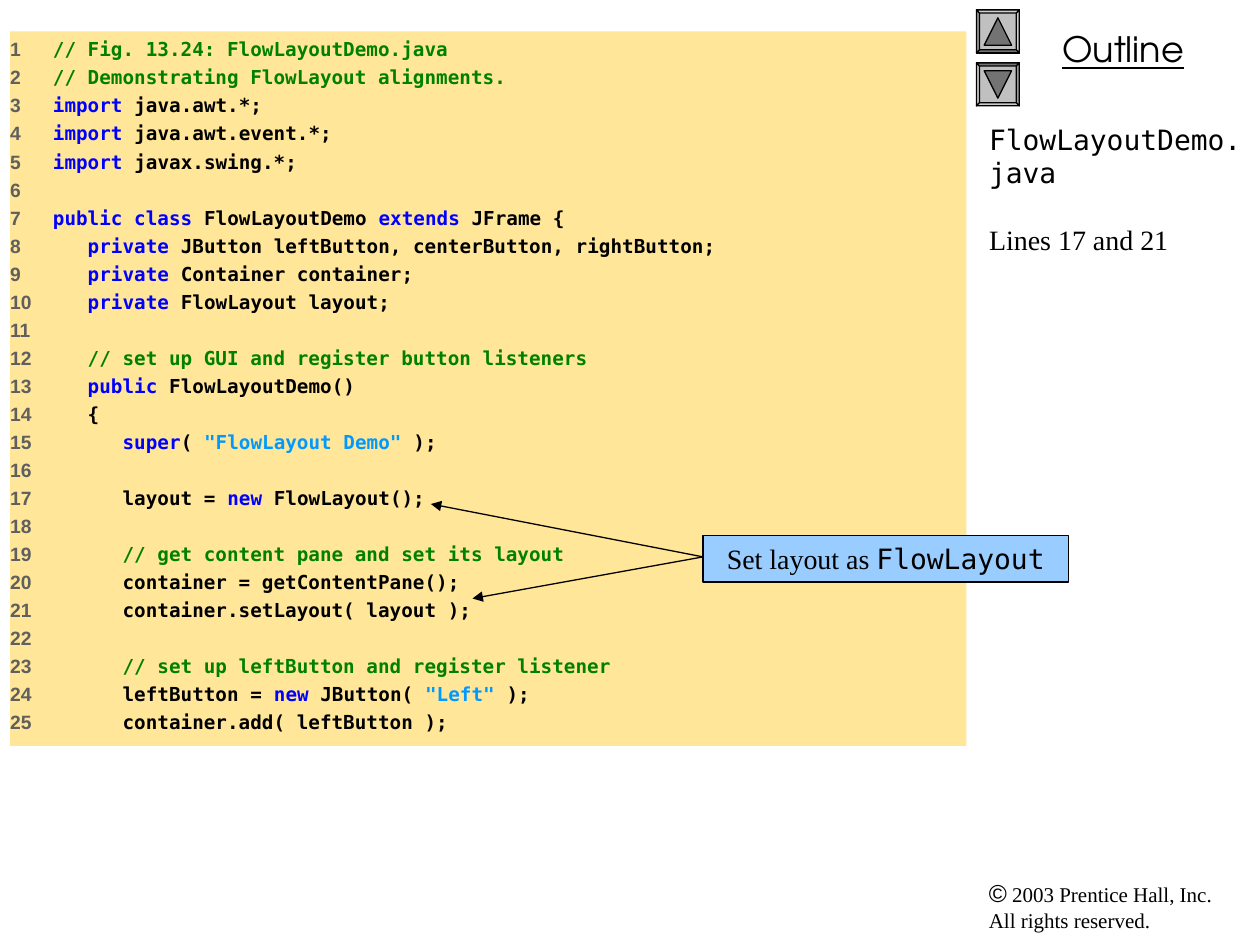
from typing import NamedTuple

from lxml import etree
from pptx import Presentation
from pptx.dml.color import RGBColor
from pptx.enum.shapes import MSO_CONNECTOR, MSO_SHAPE
from pptx.enum.text import MSO_ANCHOR, MSO_AUTO_SIZE, PP_ALIGN
from pptx.oxml.ns import qn
from pptx.util import Inches, Pt

RECTANGLE = MSO_SHAPE.RECTANGLE
STRAIGHT = MSO_CONNECTOR.STRAIGHT
TOP = MSO_ANCHOR.TOP
NO_AUTOFIT = MSO_AUTO_SIZE.NONE
LEFT, CENTER = PP_ALIGN.LEFT, PP_ALIGN.CENTER

BLACK = RGBColor(0x00, 0x00, 0x00)
NUMBER_GREY = RGBColor(0x5F, 0x5F, 0x5F)
COMMENT_GREEN = RGBColor(0x00, 0x80, 0x00)
KEYWORD_BLUE = RGBColor(0x00, 0x00, 0xFF)
STRING_BLUE = RGBColor(0x00, 0x99, 0xFF)
CODE_FILL = RGBColor(0xFF, 0xE6, 0x99)
CALLOUT_FILL = RGBColor(0x99, 0xCC, 0xFF)
BUTTON_GREY = RGBColor(0xC0, 0xC0, 0xC0)
BEVEL_LIGHT = RGBColor(0xCD, 0xCD, 0xCD)
BEVEL_MEDIUM = RGBColor(0x9A, 0x9A, 0x9A)
BEVEL_DARK = RGBColor(0x73, 0x73, 0x73)

SANS, SERIF = "Arial", "Times New Roman"
MONO, HEADING = "DejaVu Sans Mono", "TeX Gyre Adventor"


class Span(NamedTuple):
    text: str
    color: RGBColor = BLACK
    font: str = MONO
    size: float = 11
    bold: bool = False


class Box(NamedTuple):
    left: float
    top: float
    width: float
    height: float


class Facet(NamedTuple):
    color: RGBColor
    points: tuple


def plain(text: str) -> Span:
    return Span(text, BLACK, bold=True)


def keyword(text: str) -> Span:
    return Span(text, KEYWORD_BLUE, bold=True)


def comment(text: str) -> Span:
    return Span(text, COMMENT_GREEN, bold=True)


def literal(text: str) -> Span:
    return Span(text, STRING_BLUE, bold=True)


CODE_LINES = [
    [comment("// Fig. 13.24: FlowLayoutDemo.java")],
    [comment("// Demonstrating FlowLayout alignments.")],
    [keyword("import"), plain(" java.awt.*;")],
    [keyword("import"), plain(" java.awt.event.*;")],
    [keyword("import"), plain(" javax.swing.*;")],
    [],
    [keyword("public class"), plain(" FlowLayoutDemo "), keyword("extends"), plain(" JFrame {")],
    [keyword("   private"), plain(" JButton leftButton, centerButton, rightButton;")],
    [keyword("   private"), plain(" Container container;")],
    [keyword("   private"), plain(" FlowLayout layout;")],
    [],
    [comment("   // set up GUI and register button listeners")],
    [keyword("   public"), plain(" FlowLayoutDemo()")],
    [plain("   {")],
    [keyword("      super"), plain("( "), literal('"FlowLayout Demo"'), plain(" );")],
    [],
    [plain("      layout = "), keyword("new"), plain(" FlowLayout();")],
    [],
    [comment("      // get content pane and set its layout")],
    [plain("      container = getContentPane();")],
    [plain("      container.setLayout( layout );")],
    [],
    [comment("      // set up leftButton and register listener")],
    [plain("      leftButton = "), keyword("new"), plain(" JButton( "), literal('"Left"'),
     plain(" );")],
    [plain("      container.add( leftButton );")],
]

# Upward button in unit coordinates; the downward one is turned by half
BUTTON_FACETS = [
    Facet(BUTTON_GREY, ((0, 0), (1, 0), (1, 1), (0, 1))),
    Facet(BEVEL_LIGHT, ((1, 0), (1, 1), (0.93, 0.93), (0.93, 0.07))),
    Facet(BEVEL_DARK, ((1, 1), (0, 1), (0.07, 0.93), (0.93, 0.93))),
    Facet(BEVEL_MEDIUM, ((0, 1), (0, 0), (0.07, 0.07), (0.07, 0.93))),
    Facet(BEVEL_LIGHT, ((0, 0), (1, 0), (0.93, 0.07), (0.07, 0.07))),
    Facet(BEVEL_DARK, ((0.5, 0.18), (0.82, 0.82), (0.18, 0.82))),
]


def add_spans(paragraph, spans: list[Span]) -> None:
    for span in spans:
        run = paragraph.add_run()
        run.text = span.text
        run.font.name = span.font
        run.font.size = Pt(span.size)
        run.font.bold = span.bold
        run.font.color.rgb = span.color


def prepare_frame(shape, left_inset: float = 0.1):
    frame = shape.text_frame
    frame.word_wrap = True
    frame.auto_size = NO_AUTOFIT
    frame.vertical_anchor = TOP
    frame.margin_left, frame.margin_right = Inches(left_inset), Inches(0.1)
    frame.margin_top = frame.margin_bottom = Inches(0.05)
    return frame


def add_text(slide, box: Box, spans: list[Span], align=LEFT):
    shape = slide.shapes.add_textbox(*map(Inches, box))
    paragraph = prepare_frame(shape).paragraphs[0]
    paragraph.alignment = align
    add_spans(paragraph, spans)
    return paragraph


def add_rectangle(slide, box: Box, fill: RGBColor):
    shape = slide.shapes.add_shape(RECTANGLE, *map(Inches, box))
    shape.shadow.inherit = False
    shape.fill.solid()
    shape.fill.fore_color.rgb = fill
    return shape


def outline_shape(shape) -> None:
    shape.line.color.rgb = BLACK
    shape.line.width = Pt(0.75)


def add_button(slide, left: float, top: float, size: float, turned: bool) -> None:
    for facet in BUTTON_FACETS:
        corners = [(1 - x, 1 - y) if turned else (x, y) for x, y in facet.points]
        points = [(Inches(left + x * size), Inches(top + y * size)) for x, y in corners]
        builder = slide.shapes.build_freeform(*points[0])
        builder.add_line_segments(points[1:], close=True)
        shape = builder.convert_to_shape()
        shape.shadow.inherit = False
        shape.fill.solid()
        shape.fill.fore_color.rgb = facet.color
        outline_shape(shape)


def add_code(slide, box: Box) -> None:
    shape = add_rectangle(slide, box, CODE_FILL)
    shape.line.fill.background()
    frame = prepare_frame(shape, left_inset=0)
    for number, spans in enumerate(CODE_LINES, start=1):
        paragraph = frame.paragraphs[0] if number == 1 else frame.add_paragraph()
        paragraph.alignment = LEFT
        paragraph.line_spacing = Pt(13.2)
        paragraph.space_before = Pt(0 if number == 1 else 2.8)
        tab_list = etree.SubElement(paragraph._p.get_or_add_pPr(), qn("a:tabLst"))
        etree.SubElement(tab_list, qn("a:tab"), pos=str(Inches(0.34)), algn="l")
        label = f"{number}\t" if spans else str(number)
        add_spans(paragraph, [Span(label, NUMBER_GREY, SANS, bold=True), *spans])


def add_arrow(slide, start: tuple[float, float], end: tuple[float, float]) -> None:
    connector = slide.shapes.add_connector(STRAIGHT, *map(Inches, start + end))
    outline_shape(connector)
    etree.SubElement(connector.line._get_or_add_ln(), qn("a:tailEnd"), type="triangle")
    etree.SubElement(connector._element.spPr, qn("a:effectLst"))


def main() -> None:
    presentation = Presentation()
    presentation.slide_width, presentation.slide_height = Inches(10), Inches(7.5)
    slide = presentation.slides.add_slide(presentation.slide_layouts[5])

    # Side column: copyright, heading and navigation buttons
    copyright_line = add_text(slide, Box(7.75, 6.92, 2.17, 0.54), [
        Span("©", font=SANS, size=14), Span(" 2003 Prentice Hall, Inc.", font=SERIF, size=12)])
    copyright_line.add_line_break()
    add_spans(copyright_line, [Span("All rights reserved.", font=SERIF, size=12)])
    heading = add_text(slide, Box(7.83, 0.17, 2.17, 0.44),
                       [Span("Outline", font=HEADING, size=20)], CENTER)
    heading.runs[0].font.underline = True
    add_button(slide, 7.75, 0.08, 0.34, turned=False)
    add_button(slide, 7.75, 0.5, 0.34, turned=True)

    # Title with the file name and the lines discussed
    title = slide.shapes.title
    title.left, title.top, title.width, title.height = map(Inches, Box(7.75, 0.92, 2.25, 6))
    frame = prepare_frame(title)
    file_name, line_note = frame.paragraphs[0], frame.add_paragraph()
    add_spans(file_name, [Span("FlowLayoutDemo.java", size=16)])
    add_spans(line_note, [Span("Lines 17 and 21", font=SERIF, size=16)])
    line_note.space_before = Pt(19)
    file_name.alignment = line_note.alignment = LEFT

    # Code listing
    add_code(slide, Box(0.08, 0.25, 7.59, 5.67))

    # Callout with arrows to lines 17 and 21
    callout = add_rectangle(slide, Box(5.58, 4.25, 2.9, 0.37), CALLOUT_FILL)
    outline_shape(callout)
    paragraph = prepare_frame(callout).paragraphs[0]
    paragraph.alignment = CENTER
    add_spans(paragraph, [Span("Set layout as ", font=SERIF, size=16), Span("FlowLayout", size=16)])
    for target in ((3.42, 4.0), (3.75, 4.75)):
        add_arrow(slide, (5.58, 4.42), target)

    presentation.save("out.pptx")


if __name__ == "__main__":
    main()
